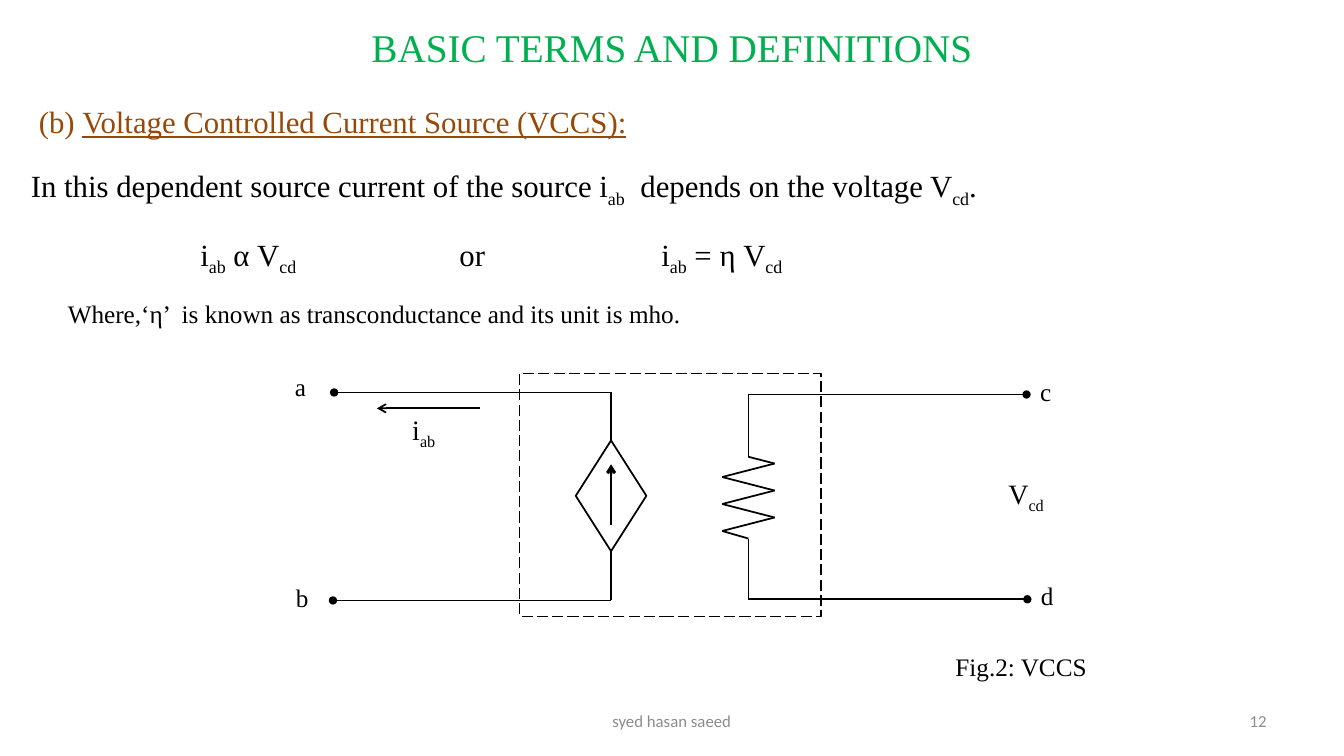
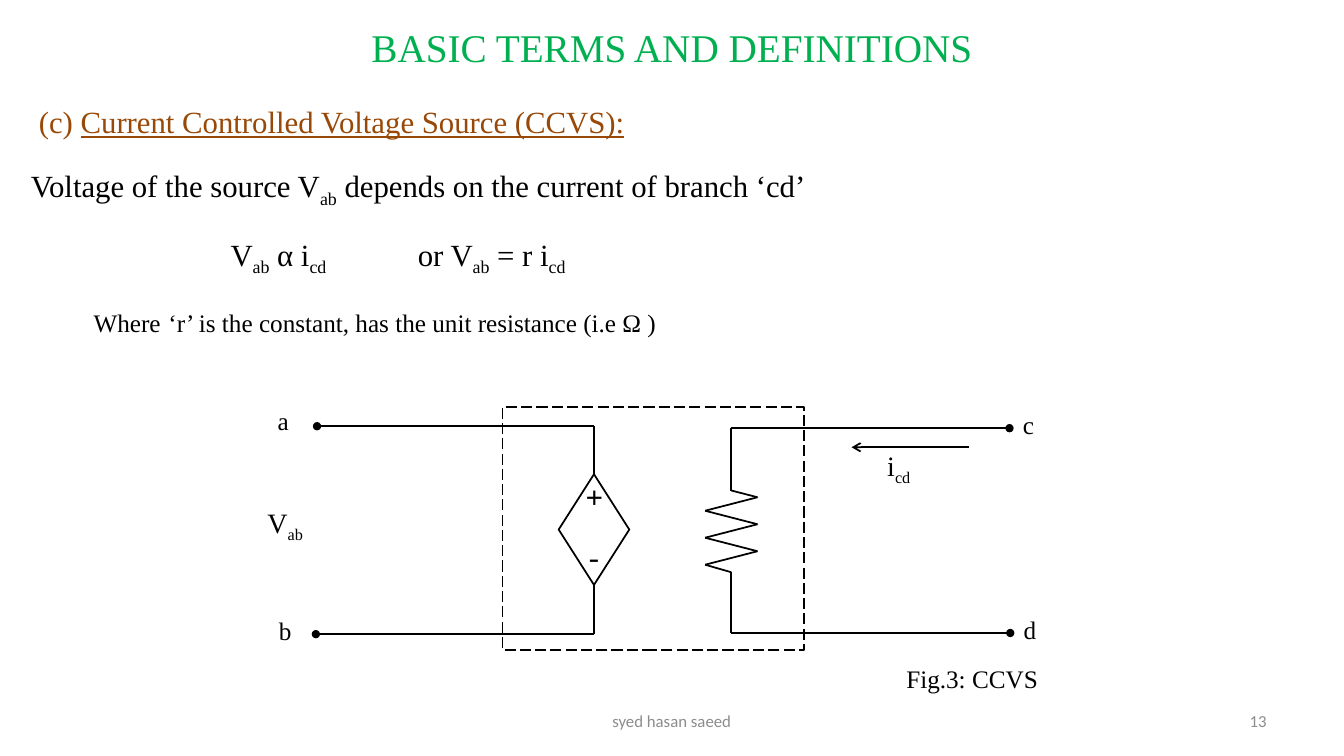
"""Build two slides on dependent sources, each with a circuit diagram."""
from dataclasses import dataclass
from itertools import pairwise
from typing import NamedTuple

from lxml.etree import SubElement
from pptx import Presentation
from pptx.dml.color import RGBColor
from pptx.enum.dml import MSO_LINE
from pptx.enum.shapes import MSO_CONNECTOR, MSO_SHAPE
from pptx.enum.text import MSO_ANCHOR as Anchor, PP_ALIGN as Align
from pptx.oxml.ns import qn
from pptx.util import Cm, Pt

SERIF, SANS = "Times New Roman", "Calibri"
BLACK, GREEN, BROWN, GREY = "000000", "00B050", "984807", "8C8C8C"
THIN, WIRE, THICK = 1, 1.25, 2
FRAME_WIDTH, FRAME_HEIGHT = 7.6, 6.12
SOURCE_X, SOURCE_TOP, SOURCE_WIDTH, SOURCE_HEIGHT = 2.31, 1.69, 1.78, 2.79
RESISTOR_X, RESISTOR_TOP, RESISTOR_BOTTOM = 5.77, 2.1, 4.16
ZIGZAG_TOP, ZIGZAG_STEP, ZIGZAG_REACH, ZIGZAG_POINTS = 2.27, 0.34, 0.66, 6


class Span(NamedTuple):
    """A stretch of text with one look."""
    text: str
    size: float = 18
    color: str = BLACK
    font: str = SERIF
    subscript: bool = False
    underline: bool = False
    bold: bool = False


class Terminal(NamedTuple):
    """A terminal dot and its letter, placed relative to the frame."""
    name: str
    start_x: float
    end_x: float
    y: float
    label_x: float
    label_y: float


class Label(NamedTuple):
    """Text placed relative to the frame."""
    x: float
    y: float
    spans: list[Span]
    width: float = 2.18


class Arrow(NamedTuple):
    """An arrow placed relative to the frame."""
    start: tuple[float, float]
    end: tuple[float, float]
    width: float = WIRE


@dataclass
class Line:
    """A paragraph of the body text, with tab stops counted from its indent."""
    spans: list[Span]
    indent: float = 0
    tabs: tuple[float, ...] = ()


@dataclass
class Topic:
    """What one slide says and draws."""
    number: int
    lines: list[Line]
    left: float
    top: float
    labels: list[Label]
    arrows: list[Arrow]


TERMINALS = [
    Terminal("a", SOURCE_X, -4.67, 0.48, -5.91, -0.17),
    Terminal("b", SOURCE_X, -4.7, 5.72, -5.88, 5.13),
    Terminal("c", RESISTOR_X, 12.78, 0.53, 12.87, -0.06),
    Terminal("d", RESISTOR_X, 12.8, 5.69, 12.89, 5.1),
]


def formula(*parts: str, size: float = 22) -> list[Span]:
    """Return spans that alternate between normal text and subscript."""
    return [Span(part, size, subscript=index % 2 == 1)
            for index, part in enumerate(parts)]


def heading(mark: str, name: str) -> list[Span]:
    """Return a brown heading whose name is underlined."""
    return [Span(mark, 22, BROWN), Span(name, 22, BROWN, underline=True)]


TOPICS = [
    Topic(
        12,
        [Line(heading("(b) ", "Voltage Controlled Current Source (VCCS):"), 0.2),
         Line(formula("In this dependent source current of the source i", "ab",
                      "\tdepends on the voltage V", "cd", "."), 0, (15.36,)),
         Line(formula("i", "ab", " α V", "cd", "\tor\ti", "ab", " = η V", "cd"),
              4.27, (6.53, 11.62)),
         Line([Span("Where,‘η’\tis known as transconductance and its unit is mho.")],
              0.93, (2.87,))],
        13.09, 9.41,
        [Label(-2.95, 0.87, formula("i", "ab", size=20)),
         Label(12.07, 2.48, formula("V", "cd", size=20)),
         Label(10.74, 6.87, [Span("Fig.2: VCCS")], 5.8)],
        [Arrow((-0.99, 0.88), (-3.59, 0.88)),
         Arrow((SOURCE_X, 3.81), (SOURCE_X, 2.29), THICK)],
    ),
    Topic(
        13,
        [Line(heading("(c) ", "Current Controlled Voltage Source (CCVS):"), 0.2),
         Line(formula("Voltage of the source V", "ab",
                      " depends on the current of branch ‘cd’")),
         Line(formula("V", "ab", " α i", "cd", "\tor V", "ab", " = r i", "cd"),
              5.03, (4.72,)),
         Line([Span("Where"), Span(" ", 22),
               Span("‘r’ is the constant, has the unit resistance (i.e Ω )")], 1.58)],
        12.66, 10.26,
        [Label(-6.17, 2.36, formula("V", "ab", size=20)),
         Label(9.45, 0.92, formula("i", "cd", size=20)),
         Label(9.93, 6.33, [Span("Fig.3: CCVS")], 5.8),
         Label(1.85, 1.65, [Span("+", 22, bold=True)], 1.47),
         Label(1.93, 3.17, [Span("-", 22)], 1.47)],
        [Arrow((11.75, 1.01), (8.8, 1.01))],
    ),
]


def paint(value: str) -> RGBColor:
    """Return the colour for a hex string."""
    return RGBColor.from_string(value)


def add_span(para, item: Span) -> None:
    """Add one formatted run to a paragraph."""
    span = para.add_run()
    span.text = item.text
    span.font.name = item.font
    span.font.size = Pt(item.size)
    span.font.color.rgb = paint(item.color)
    if item.underline:
        span.font.underline = True
    if item.bold:
        span.font.bold = True
    if item.subscript:
        span._r.get_or_add_rPr().set("baseline", "-25000")


def add_box(page, left: float, top: float, width: float, height: float):
    """Add an empty wrapping text box."""
    box = page.shapes.add_textbox(Cm(left), Cm(top), Cm(width), Cm(height))
    box.text_frame.word_wrap = True
    return box


def add_label(page, left: float, top: float, label: Label) -> None:
    """Add a label relative to the frame corner."""
    box = add_box(page, left + label.x, top + label.y, label.width, 1.02)
    for item in label.spans:
        add_span(box.text_frame.paragraphs[0], item)


def add_footer(page, number: int) -> None:
    """Add the author and the slide number."""
    for text, left, width, align in (("syed hasan saeed", 11.57, 10.72, Align.CENTER),
                                     (str(number), 24.27, 7.9, Align.RIGHT)):
        box = add_box(page, left, 17.65, width, 1.02)
        box.text_frame.vertical_anchor = Anchor.MIDDLE
        para = box.text_frame.paragraphs[0]
        para.alignment = align
        add_span(para, Span(text, 12, GREY, SANS))


def add_title(page) -> None:
    """Place and fill the title placeholder."""
    title = page.shapes.title
    title.left, title.top, title.width, title.height = Cm(0.79), Cm(0.2), Cm(32.28), Cm(1.98)
    title.text_frame.vertical_anchor = Anchor.MIDDLE
    para = title.text_frame.paragraphs[0]
    para.alignment = Align.CENTER
    add_span(para, Span("BASIC TERMS AND DEFINITIONS", 28, GREEN))


def add_body(page, lines: list[Line]) -> None:
    """Add the body text above the circuit."""
    frame = add_box(page, 0.53, 2, 32.79, 6.8).text_frame
    for index, line in enumerate(lines):
        para = frame.add_paragraph() if index else frame.paragraphs[0]
        para.line_spacing = 1.5
        if index:
            para.space_before = Pt(4.2)
        properties = para._p.get_or_add_pPr()
        properties.set("marL", str(Cm(line.indent)))
        if line.tabs:
            stops = SubElement(properties, qn("a:tabLst"))
            for position in line.tabs:
                SubElement(stops, qn("a:tab"), pos=str(Cm(position)), algn="l")
        for item in line.spans:
            add_span(para, item)


def add_wire(page, start: tuple[float, float], end: tuple[float, float],
             tail: str = "", width: float = WIRE):
    """Add a straight line that may end in an arrowhead or a dot."""
    wire = page.shapes.add_connector(MSO_CONNECTOR.STRAIGHT, *map(Cm, start + end))
    wire.line.color.rgb = paint(BLACK)
    wire.line.width = Pt(width)
    properties = wire._element.spPr
    if tail:
        SubElement(properties.find(qn("a:ln")), qn("a:tailEnd"), type=tail)
    SubElement(properties, qn("a:effectLst"))
    return wire


def outline(shape, width: float) -> None:
    """Leave a shape unfilled with a black outline."""
    shape.shadow.inherit = False
    shape.fill.background()
    shape.line.color.rgb = paint(BLACK)
    shape.line.width = Pt(width)


def add_resistor(page, left: float, top: float) -> None:
    """Add the zigzag resistor with its two leads."""
    zigzag = [(RESISTOR_X + ZIGZAG_REACH * (-1) ** index, ZIGZAG_TOP + ZIGZAG_STEP * index)
              for index in range(ZIGZAG_POINTS)]
    points = [(RESISTOR_X, TERMINALS[2].y), (RESISTOR_X, RESISTOR_TOP), *zigzag,
              (RESISTOR_X, RESISTOR_BOTTOM), (RESISTOR_X, TERMINALS[3].y)]
    for start, end in pairwise((left + x, top + y) for x, y in points):
        add_wire(page, start, end)


def add_source(page, left: float, top: float) -> None:
    """Add the diamond source and join its leads."""
    diamond = page.shapes.add_shape(
        MSO_SHAPE.DIAMOND, Cm(left + SOURCE_X - SOURCE_WIDTH / 2), Cm(top + SOURCE_TOP),
        Cm(SOURCE_WIDTH), Cm(SOURCE_HEIGHT))
    outline(diamond, WIRE)
    x = left + SOURCE_X
    for terminal, site, edge in ((TERMINALS[0], 0, SOURCE_TOP),
                                 (TERMINALS[1], 2, SOURCE_TOP + SOURCE_HEIGHT)):
        lead = add_wire(page, (x, top + terminal.y), (x, top + edge))
        lead.end_connect(diamond, site)


def add_circuit(page, topic: Topic) -> None:
    """Draw the circuit with its labels and arrows."""
    left, top = topic.left, topic.top
    frame = page.shapes.add_shape(MSO_SHAPE.RECTANGLE, Cm(left), Cm(top),
                                  Cm(FRAME_WIDTH), Cm(FRAME_HEIGHT))
    outline(frame, THIN)
    frame.line.dash_style = MSO_LINE.LONG_DASH
    add_source(page, left, top)
    add_resistor(page, left, top)
    for terminal in TERMINALS:
        y = top + terminal.y
        add_wire(page, (left + terminal.start_x, y), (left + terminal.end_x, y), "oval")
        add_label(page, left, top, Label(terminal.label_x, terminal.label_y,
                                         [Span(terminal.name)], 1.47))
    for arrow in topic.arrows:
        start, end = ((left + x, top + y) for x, y in (arrow.start, arrow.end))
        add_wire(page, start, end, "arrow", arrow.width)
    for label in topic.labels:
        add_label(page, left, top, label)


def main() -> None:
    """Build and save the deck."""
    deck = Presentation()
    deck.slide_width, deck.slide_height = Cm(33.87), Cm(19.05)
    for topic in TOPICS:
        page = deck.slides.add_slide(deck.slide_layouts[5])
        add_title(page)
        add_body(page, topic.lines)
        add_circuit(page, topic)
        add_footer(page, topic.number)
    deck.save("out.pptx")


if __name__ == "__main__":
    main()
